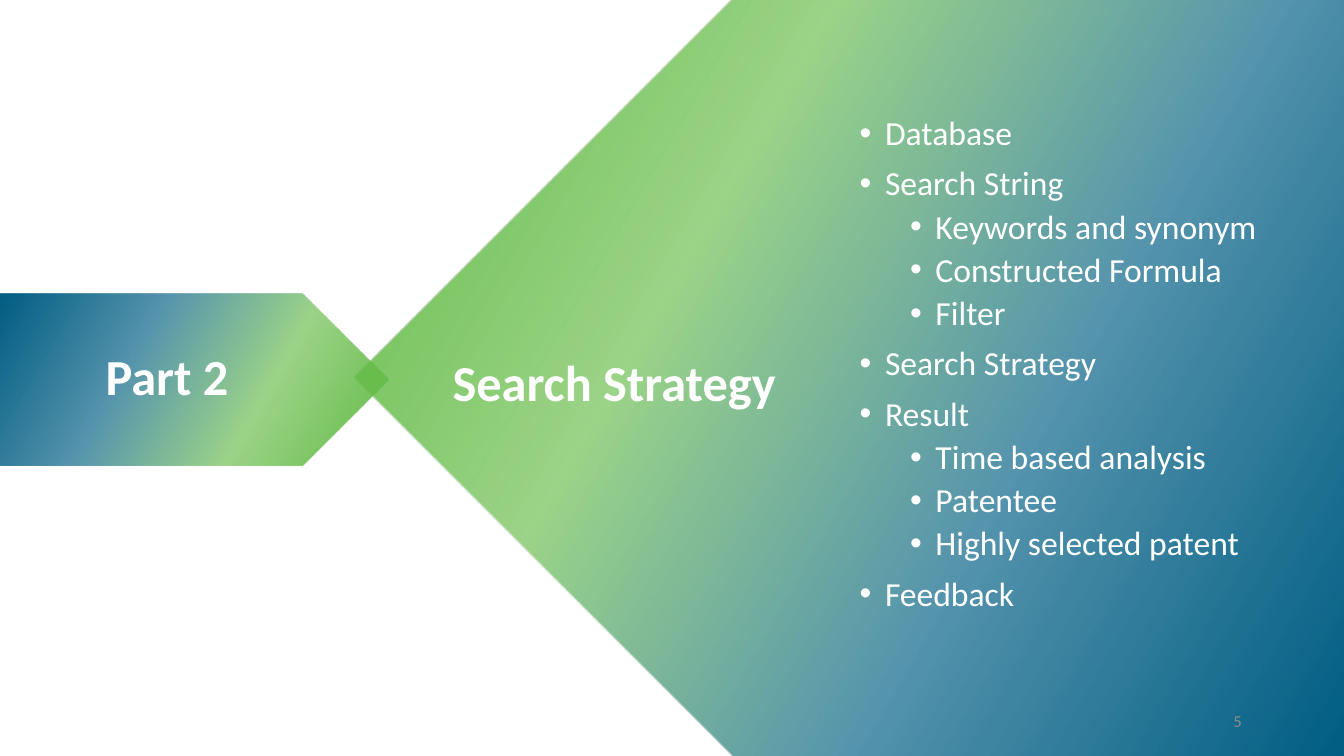
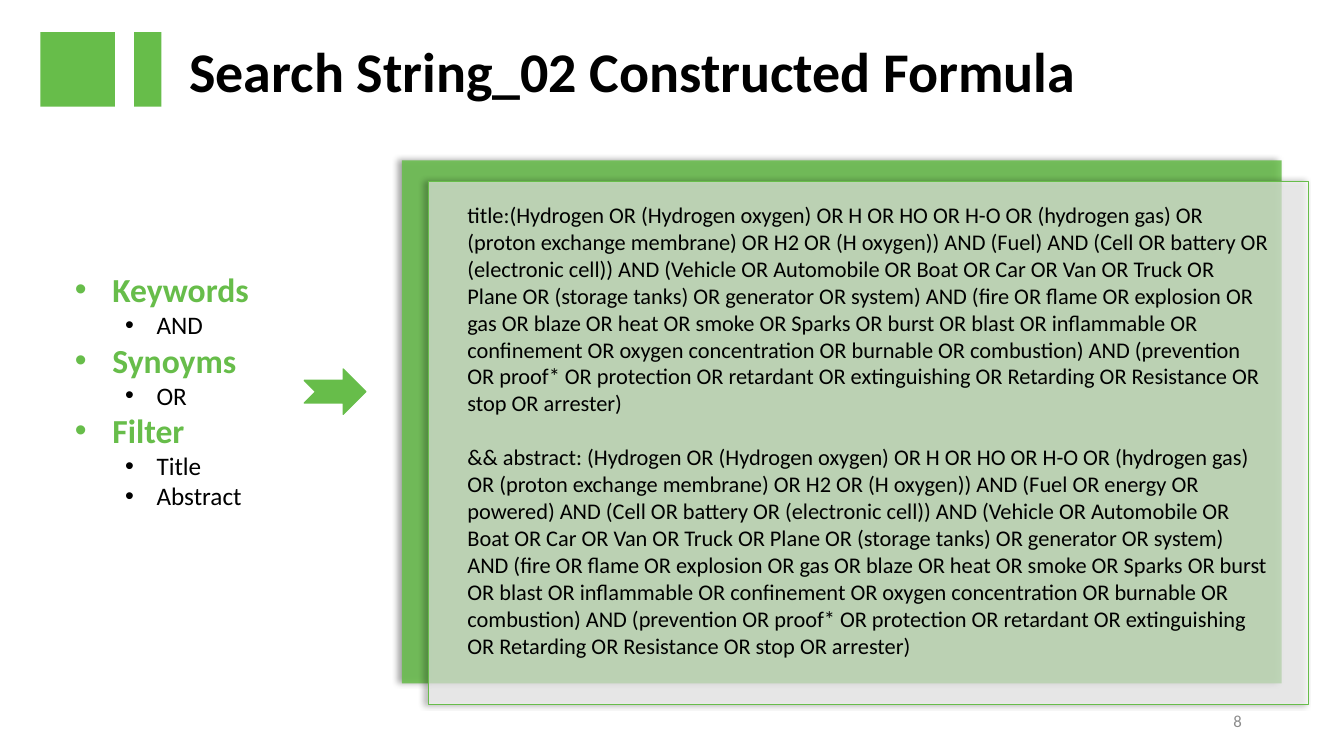
from lxml import etree
from pptx import Presentation
from pptx import util as u
from pptx.dml.color import RGBColor
from pptx.enum import shapes, text
from pptx.oxml import ns

# Shared look
COLORS = {"green": "67BD4A", "blue": "005E84", "white": "FFFFFF",
          "black": "000000", "grey": "8C8C8C"}
FONT = "Calibri"
GRADIENT = [(0, "blue", 100), (35, "blue", 66), (66, "green", 65), (98, "green", 100)]
SHAPE = shapes.MSO_SHAPE
TOP, MIDDLE = text.MSO_ANCHOR.TOP, text.MSO_ANCHOR.MIDDLE
LEFT, RIGHT = text.PP_ALIGN.LEFT, text.PP_ALIGN.RIGHT

# Text styles: font values, colour, paragraph values, bullet indents in cm
STYLES = {
    "section": {"font": {"size": u.Pt(36), "bold": True}, "color": "white"},
    "section title": {"font": {"size": u.Pt(36), "bold": True}, "color": "white",
                      "paragraph": {"line_spacing": 1.5, "space_after": u.Pt(12)}},
    "title": {"font": {"size": u.Pt(40), "bold": True}, "color": "black"},
    "topic": {"font": {"size": u.Pt(24), "bold": False}, "color": "white",
              "paragraph": {"line_spacing": 0.9, "space_before": u.Pt(10)},
              "bullet": (0.64, -0.64)},
    "subtopic": {"font": {"size": u.Pt(24), "bold": False}, "color": "white",
                 "paragraph": {"level": 1, "line_spacing": 0.9, "space_before": u.Pt(5)},
                 "bullet": (1.91, -0.64)},
    "term": {"font": {"size": u.Pt(24), "bold": True}, "color": "green",
             "bullet": (0.95, -0.95)},
    "operator": {"font": {"size": u.Pt(18), "bold": False}, "color": "black",
                 "paragraph": {"level": 1}, "bullet": (2.06, -0.79)},
    "formula": {"font": {"size": u.Pt(16)}, "color": "black",
                "paragraph": {"space_before": u.Pt(19.5)}},
    "number": {"font": {"size": u.Pt(12)}, "color": "grey",
               "paragraph": {"alignment": RIGHT}},
}

# Content
AGENDA = [
    ("Database", []),
    ("Search String", ["Keywords and synonym", "Constructed Formula", "Filter"]),
    ("Search Strategy", []),
    ("Result", ["Time based analysis", "Patentee", "Highly selected patent"]),
    ("Feedback", []),
]
TERMS = [("Keywords", ["AND"]), ("Synoyms", ["OR"]), ("Filter", ["Title", "Abstract"])]

HYDROGEN = ("(Hydrogen OR (Hydrogen oxygen) OR H OR HO OR H-O OR (hydrogen gas) OR "
            "(proton exchange membrane) OR H2 OR (H oxygen))")
CELL = "(Cell OR battery OR (electronic cell))"
PLACES = ("(Vehicle OR Automobile OR Boat OR Car OR Van OR Truck OR Plane OR "
          "(storage tanks) OR generator OR system)")
HAZARDS = ("(fire OR flame OR explosion OR gas OR blaze OR heat OR smoke OR Sparks OR "
           "burst OR blast OR inflammable OR confinement OR oxygen concentration OR "
           "burnable OR combustion)")
REMEDIES = ("(prevention OR proof* OR protection OR retardant OR extinguishing OR "
            "Retarding OR Resistance OR stop OR arrester)")
FORMULAS = [
    " AND ".join([prefix + HYDROGEN, fuel, CELL, PLACES, HAZARDS, REMEDIES])
    for prefix, fuel in [("title:", "(Fuel)"),
                         ("&& abstract: ", "(Fuel OR energy OR powered)")]
]


def color(name):
    return RGBColor.from_string(COLORS[name])


def element(parent, tag, **attributes):
    child = etree.SubElement(parent, ns.qn(tag))
    for name, value in attributes.items():
        child.set(name, str(value))
    return child


def outline(groups, parent_style, child_style):
    """Flatten (heading, items) groups into styled lines."""
    lines = []
    for heading, items in groups:
        lines.append((heading, parent_style))
        lines += [(item, child_style) for item in items]
    return lines


def place(shape, box):
    for name, value in zip(("left", "top", "width", "height"), box):
        setattr(shape, name, u.Cm(value))


def write(shape, lines, anchor=TOP):
    frame = shape.text_frame
    frame.word_wrap = True
    frame.auto_size = text.MSO_AUTO_SIZE.NONE
    frame.vertical_anchor = anchor
    for index, (line, style_name) in enumerate(lines):
        style = STYLES[style_name]
        paragraph = frame.paragraphs[0] if index == 0 else frame.add_paragraph()
        values = {"alignment": LEFT, "space_before": u.Pt(0), **style.get("paragraph", {})}
        if index == 0:
            values["space_before"] = u.Pt(0)
        for name, value in values.items():
            setattr(paragraph, name, value)
        if "bullet" in style:
            margin, indent = style["bullet"]
            properties = paragraph._p.get_or_add_pPr()
            properties.set("marL", str(u.Cm(margin)))
            properties.set("indent", str(u.Cm(indent)))
            element(properties, "a:buFont", typeface="Arial")
            element(properties, "a:buChar", char="•")
        run = paragraph.add_run()
        run.text = line
        for name, value in {"name": FONT, **style["font"]}.items():
            setattr(run.font, name, value)
        run.font.color.rgb = color(style["color"])


def add_text(slide, box, lines, anchor=TOP):
    write(slide.shapes.add_textbox(*map(u.Cm, box)), lines, anchor)


def fill_placeholder(slide, index, box, lines, anchor=TOP):
    """Write into a placeholder and bring it in front of the shapes so far."""
    shape = slide.placeholders[index]
    place(shape, box)
    write(shape, lines, anchor)
    shape.element.getparent().append(shape.element)


def add_shape(slide, kind, box, fill="green", alpha=100, line=None):
    shape = slide.shapes.add_shape(kind, *map(u.Cm, box))
    shape.shadow.inherit = False
    shape.fill.solid()
    shape.fill.fore_color.rgb = color(fill)
    if alpha < 100:
        tint = shape.element.spPr.find(ns.qn("a:solidFill"))[0]
        element(tint, "a:alpha", val=alpha * 1000)
    if line:
        shape.line.color.rgb = color(line)
        shape.line.width = u.Pt(1)
    else:
        shape.line.fill.background()
    return shape


def add_gradient_plate(slide, box, rotation=0):
    shape = add_shape(slide, SHAPE.PENTAGON, box)
    shape.rotation = rotation
    properties = shape.element.spPr
    gradient = etree.Element(ns.qn("a:gradFill"), rotWithShape="1")
    stops = element(gradient, "a:gsLst")
    for position, name, alpha in GRADIENT:
        stop = element(stops, "a:gs", pos=position * 1000)
        tint = element(stop, "a:srgbClr", val=COLORS[name])
        element(tint, "a:alpha", val=alpha * 1000)
    element(gradient, "a:lin", ang=30 * 60000, scaled=0)
    properties.replace(properties.find(ns.qn("a:solidFill")), gradient)


def add_shadow_panel(slide, box, **look):
    shape = add_shape(slide, SHAPE.RECTANGLE, box, **look)
    effects = shape.element.spPr.find(ns.qn("a:effectLst"))
    shadow = element(effects, "a:outerShdw", blurRad=u.Pt(4), dist=u.Pt(3),
                     dir=180 * 60000, algn="r", rotWithShape=0)
    tint = element(shadow, "a:srgbClr", val=COLORS["black"])
    element(tint, "a:alpha", val=40000)


def add_number(slide, number):
    add_text(slide, (23.93, 17.65, 7.62, 1.02), [(number, "number")], MIDDLE)


def build_section(slide):
    add_gradient_plate(slide, (8.94, 0, 24.94, 19.05), rotation=180)
    add_gradient_plate(slide, (0, 7.39, 9.78, 4.34))
    add_text(slide, (2.41, 8.56, 8.03, 1.8), [("Part 2", "section")])
    fill_placeholder(slide, 1, (21.41, 2.26, 11, 13.87),
                     outline(AGENDA, "topic", "subtopic"), MIDDLE)
    fill_placeholder(slide, 0, (11.15, 7.95, 9.19, 2.34),
                     [("Search Strategy", "section title")])
    add_number(slide, "5")


def build_formula(slide):
    # Title with its two marker blocks
    for left, width in [(1.02, 1.88), (3.38, 0.69)]:
        add_shape(slide, SHAPE.RECTANGLE, (left, 0.81, width, 1.88))
    fill_placeholder(slide, 0, (4.52, 0.79, 26.31, 1.96),
                     [("Search String_02 Constructed Formula", "title")])
    # Terms leading to the formula
    fill_placeholder(slide, 1, (1.63, 6.65, 6.02, 6.4),
                     outline(TERMS, "term", "operator"))
    add_shape(slide, SHAPE.NOTCHED_RIGHT_ARROW, (7.67, 9.3, 1.55, 1.14), line="green")
    # Two offset panels
    size = (22.17, 13.18)
    add_shadow_panel(slide, (10.13, 4.04, *size), alpha=85)
    add_shadow_panel(slide, (10.8, 4.57, *size), fill="white", alpha=60, line="green")
    add_text(slide, (11.53, 4.95, 20.7, 11.96),
             [(formula, "formula") for formula in FORMULAS])
    add_number(slide, "8")


def main():
    presentation = Presentation()
    presentation.slide_width = u.Cm(33.87)
    presentation.slide_height = u.Cm(19.05)
    for build in (build_section, build_formula):
        build(presentation.slides.add_slide(presentation.slide_layouts[1]))
    presentation.save("out.pptx")


if __name__ == "__main__":
    main()
